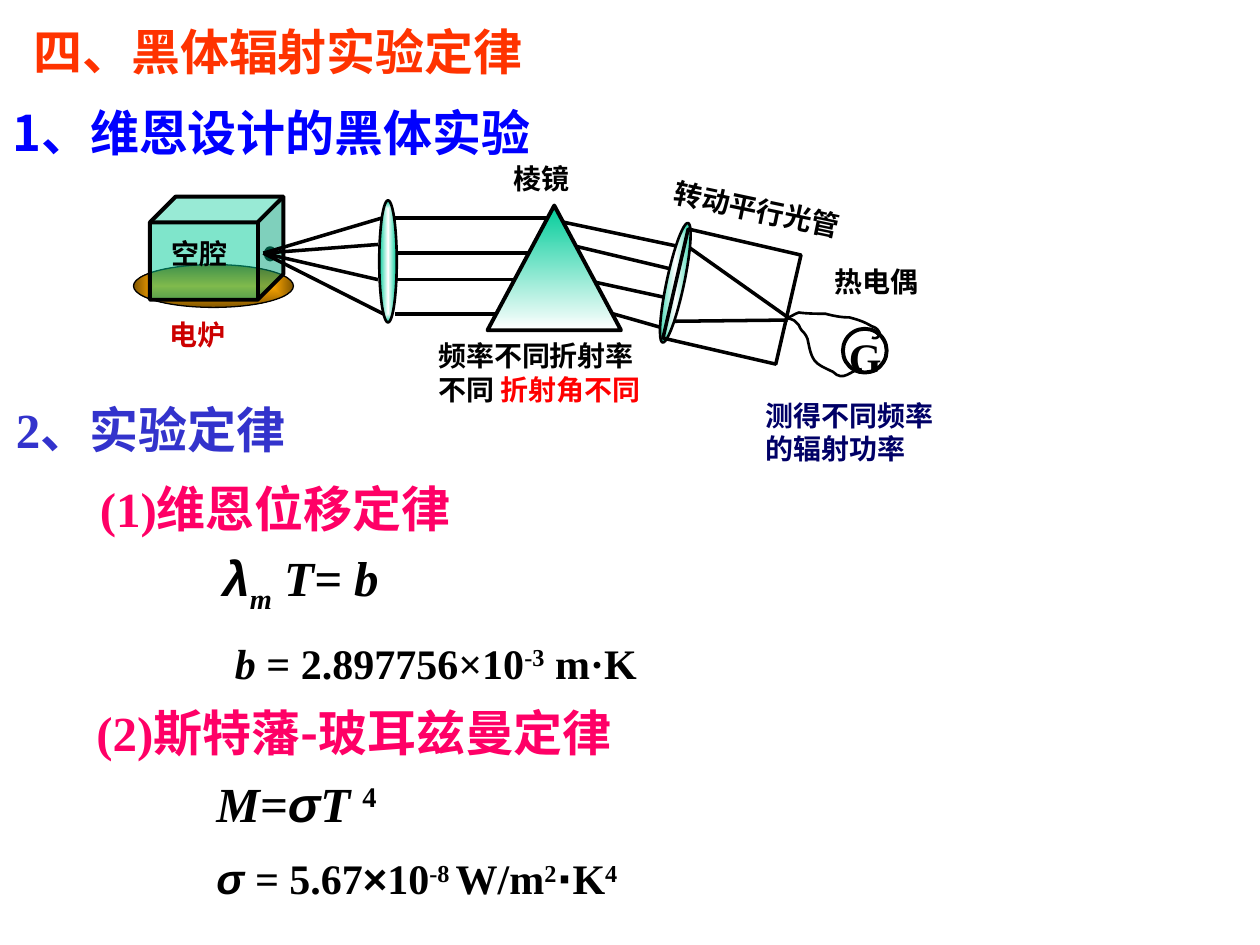
from lxml import etree
from pptx import Presentation
from pptx.dml.color import RGBColor
from pptx.enum.shapes import MSO_CONNECTOR, MSO_SHAPE
from pptx.oxml.ns import qn
from pptx.util import Pt

STRAIGHT = MSO_CONNECTOR.STRAIGHT
OVAL, CUBE = MSO_SHAPE.OVAL, MSO_SHAPE.CUBE
RECTANGLE, TRIANGLE = MSO_SHAPE.RECTANGLE, MSO_SHAPE.ISOSCELES_TRIANGLE

BLACK, WHITE = RGBColor(0, 0, 0), RGBColor(0xFF, 0xFF, 0xFF)
ORANGE, BLUE = RGBColor(0xFF, 0x33, 0x00), RGBColor(0x00, 0x00, 0xFF)
INDIGO, PINK = RGBColor(0x33, 0x33, 0xCC), RGBColor(0xFF, 0x00, 0x66)
RED, DARK_RED = RGBColor(0xFF, 0x00, 0x00), RGBColor(0xCC, 0x00, 0x00)
NAVY, GREEN = RGBColor(0x00, 0x00, 0x66), RGBColor(0x00, 0xCC, 0x99)
AMBER, BROWN = RGBColor(0xFF, 0xA8, 0x00), RGBColor(0x82, 0x56, 0x00)

SERIF, SANS, CHINESE = "Times New Roman", "Arial", "Noto Sans CJK SC"
LABEL, FORMULA, HEADING = 16, 24, 28
LABEL_HEIGHT = 26.6


def style_span(span, size, color, font=SERIF, italic=False, baseline=0):
    """Format one run in bold with its Latin and Chinese fonts."""
    span.font.size, span.font.bold, span.font.italic = Pt(size), True, italic
    span.font.color.rgb = color
    span.font.name = font
    properties = span.font._element
    etree.SubElement(properties, qn("a:ea")).set("typeface", CHINESE)
    if baseline:
        properties.set("baseline", str(baseline * 1000))


def add_text(page, left, top, width, height, spans, size=LABEL, color=BLACK, rotation=0):
    """Add a text box from spans of text and style."""
    box = page.shapes.add_textbox(Pt(left), Pt(top), Pt(width), Pt(height))
    box.rotation = rotation
    box.text_frame.word_wrap = True
    para = box.text_frame.paragraphs[0]
    for text, style in spans:
        span = para.add_run()
        span.text = text
        style_span(span, size, **{"color": color, **style})


def add_outline(page, preset, left, top, width, height, weight, rotation=0):
    """Add an unfilled preset shape with a black line."""
    shape = page.shapes.add_shape(preset, Pt(left), Pt(top), Pt(width), Pt(height))
    shape.shadow.inherit = False
    shape.rotation = rotation
    shape.fill.background()
    shape.line.color.rgb, shape.line.width = BLACK, Pt(weight)
    return shape


def fill_gradient(shape, first, last, radial=True):
    """Fill a shape with two colours, outwards from the centre or downwards."""
    shape.fill.gradient()
    shape.fill.gradient_angle = 270
    for stop, color, position in zip(shape.fill.gradient_stops, (first, last), (0, 1)):
        stop.color.rgb, stop.position = color, position
    if radial:
        gradient = shape._element.spPr.find(qn("a:gradFill"))
        gradient.remove(gradient.find(qn("a:lin")))
        route = etree.SubElement(gradient, qn("a:path"), path="rect")
        etree.SubElement(route, qn("a:fillToRect"), l="50000", t="50000", r="50000", b="50000")


def add_ray(page, left, top, start, end):
    """Draw a light ray between two points of a region."""
    ray = page.shapes.add_connector(
        STRAIGHT, Pt(left + start[0]), Pt(top + start[1]), Pt(left + end[0]), Pt(top + end[1]))
    ray.line.color.rgb, ray.line.width = BLACK, Pt(2)
    etree.SubElement(ray._element.spPr, qn("a:effectLst"))


def add_lens(page, left, top, rotation=0):
    """Draw a thin lens."""
    lens = add_outline(page, OVAL, left, top, 10, 69.8, 1.5, rotation)
    fill_gradient(lens, WHITE, GREEN)


def add_wire(page, left, top, start, curves):
    """Draw an open wire through cubic curves of three points each."""
    points, here = [], start
    for first, second, end in curves:
        for step in range(1, 9):
            t = step / 8
            points.append(tuple(
                (1 - t) ** 3 * a + 3 * t * (1 - t) ** 2 * b + 3 * t * t * (1 - t) * c + t ** 3 * d
                for a, b, c, d in zip(here, first, second, end)))
        here = end
    builder = page.shapes.build_freeform(Pt(left + start[0]), Pt(top + start[1]))
    builder.add_line_segments([(Pt(left + x), Pt(top + y)) for x, y in points], close=False)
    wire = builder.convert_to_shape()
    wire.shadow.inherit = False
    wire.fill.background()
    wire.line.color.rgb, wire.line.width = BLACK, Pt(1.5)


def draw_beams(page, left, top):
    """Draw the parallel beams and the refracted beams."""
    for y, start, end in ((0, 0, 90.7), (20.1, 2, 82.8), (35.2, 2, 74.9), (54.7, 2, 66.3)):
        add_ray(page, left, top, (start, y), (end, y))
    for start, end in (((93.6, 1.4), (168.5, 17.2)), ((100.8, 15.1), (164.1, 30.2)),
                       ((113.1, 36), (159.1, 46)), ((123.9, 54), (154.1, 62.6))):
        add_ray(page, left, top, start, end)


def draw_prism(page, left, top):
    """Draw the prism with its name and explanation."""
    add_text(page, left + 8, top - 28.8, 75, LABEL_HEIGHT, [("棱镜", {})])
    prism = add_outline(page, TRIANGLE, left, top, 76.3, 71.3, 2.25)
    fill_gradient(prism, GREEN, WHITE, radial=False)
    add_text(page, left - 35.2, top + 72.7, 136, 46,
             [("频率不同折射率不同 ", {}), ("折射角不同", {"color": RED})])


def draw_furnace(page, left, top):
    """Draw the heated cavity and the rays that leave it."""
    hole = add_outline(page, OVAL, left + 75.6, top + 29.5, 5, 6.5, 2.25)
    hole.fill.solid()
    hole.fill.fore_color.rgb = BLACK
    hearth = add_outline(page, OVAL, left, top + 38.9, 91.4, 24.5, 0.75)
    fill_gradient(hearth, AMBER, BROWN)
    add_text(page, left + 13.7, top + 65.5, 56, LABEL_HEIGHT, [("电炉", {})], color=DARK_RED)
    cavity = add_outline(page, CUBE, left + 9.4, top, 76.3, 59, 2.25)
    cavity.fill.solid()
    cavity.fill.fore_color.rgb = GREEN
    color = cavity._element.spPr.find(qn("a:solidFill"))[0]
    etree.SubElement(color, qn("a:alpha")).set("val", "50000")
    add_text(page, left + 14.4, top + 19.5, 66.2, LABEL_HEIGHT, [("空腔", {})])
    for end in ((141.9, 12.3), (139.7, 47.5), (139.7, 27.4), (144, 67.7)):
        add_ray(page, left, top, (74.2, 32.4), end)


def draw_tube(page, left, top):
    """Draw the rotating collimator tube with its lens."""
    add_ray(page, left, top, (11.5, 13.7), (70.5, 55.5))
    add_ray(page, left, top, (2.9, 56.9), (69.1, 56.2))
    add_lens(page, left, top, 12)
    add_outline(page, RECTANGLE, left + 4.3, top + 10.8, 66.2, 64, 2, 13)
    add_text(page, left - 3.6, top - 17.3, 137.5, LABEL_HEIGHT, [("转动平行光管", {})], rotation=12)


def draw_meter(page, left, top):
    """Draw the thermocouple, its wires and the galvanometer."""
    add_wire(page, left, top, (0.7, 0.4), [
        ((5, -1.7), (2.9, -1), (6.5, -2.4)), ((11.5, -1.7), (16.6, -1.7), (21.6, -1.7)),
        ((27, -0.3), (31, 0.4), (35.3, 0.4)), ((41, 1.9), (44, 3), (48.2, 5.5)),
        ((51, 6.2), (52, 8), (52.6, 9.1)), ((52, 11), (52, 13), (48.2, 12))])
    add_outline(page, OVAL, left + 31.7, top + 6.9, 25, 25, 2.25)
    add_text(page, left + 28, top + 4.8, 28, 36, [("G", {})], FORMULA)
    add_wire(page, left, top, (-0.7, 0.4), [
        ((5, 2.6), (2.9, 1.2), (6.5, 4.8)), ((8.6, 9.8), (9.4, 7.6), (11.5, 12.7)),
        ((13, 19.9), (13.7, 24.9), (18.7, 27.8)), ((20.9, 29.2), (25.9, 31.4), (25.9, 31.4)),
        ((32.4, 37.9), (36, 30), (42.5, 30))])
    add_text(page, left + 20, top - 33.4, 96.5, LABEL_HEIGHT, [("热电偶", {})])
    add_text(page, left - 19.4, top + 43, 121.7, 46, [("测得不同频率的辐射功率", {})], color=NAVY)


def write_headings(page, left, top):
    """Write the title and the section headings."""
    chinese = {"font": CHINESE}
    for x, y, width, color, spans in (
            (12, 9, 365, ORANGE, [("四、黑体辐射实验定律", {})]),
            (0, 55, 349, BLUE, [("1、", chinese), ("维恩设计的黑体实验", {})]),
            (2, 225, 216, INDIGO, [("2、实验定律", {})]),
            (50, 270, 355, PINK, [("(1)", {}), ("维恩位移定律", chinese)]),
            (48, 398, 380, PINK, [("(2)", {}), ("斯特藩-玻耳兹曼定律", chinese)])):
        add_text(page, left + x, top + y, width, 41, spans, HEADING, color)


def write_wien_law(page, left, top):
    """Write the displacement law and its constant."""
    italic, power = {"italic": True}, {"baseline": 30}
    add_text(page, left, top, 132, 45, [
        ("λ", {"font": SANS, **italic}), ("m", {"baseline": -25, **italic}),
        (" T= b", italic)], HEADING)
    add_text(page, left + 7, top + 51, 306, 36, [
        ("b", italic), (" = 2.897756×10", {}), ("-3", power), (" m·K", {})], FORMULA)


def write_stefan_law(page, left, top):
    """Write the radiation law and its constant."""
    italic, power, sans = {"italic": True}, {"baseline": 30}, {"font": SANS}
    add_text(page, left, top, 156, 41, [
        ("M=", italic), ("σ", {**sans, **italic}), ("T ", italic), ("4", power)], HEADING)
    add_text(page, left, top + 45.4, 270, 36, [
        ("σ", {**sans, **italic}), (" = ", italic), ("5.67", {}), ("×", sans), ("10", {}),
        ("-8 ", power), ("W/m", {}), ("2", power), ("⋅", sans), ("K", {}), ("4", power)], FORMULA)


def main():
    """Build the slide and save the deck."""
    deck = Presentation()
    deck.slide_width, deck.slide_height = Pt(720), Pt(540)
    page = deck.slides.add_slide(deck.slide_layouts[6])
    write_headings(page, 0, 0)
    write_stefan_law(page, 116.6, 438.5)
    write_wien_law(page, 120.2, 309.6)
    draw_beams(page, 223.9, 124.6)
    draw_prism(page, 278.6, 117.4)
    draw_tube(page, 380.9, 126.7)
    draw_furnace(page, 76.3, 112.3)
    add_lens(page, 216.7, 114.5)
    draw_meter(page, 450, 181)
    deck.save("out.pptx")


if __name__ == "__main__":
    main()
